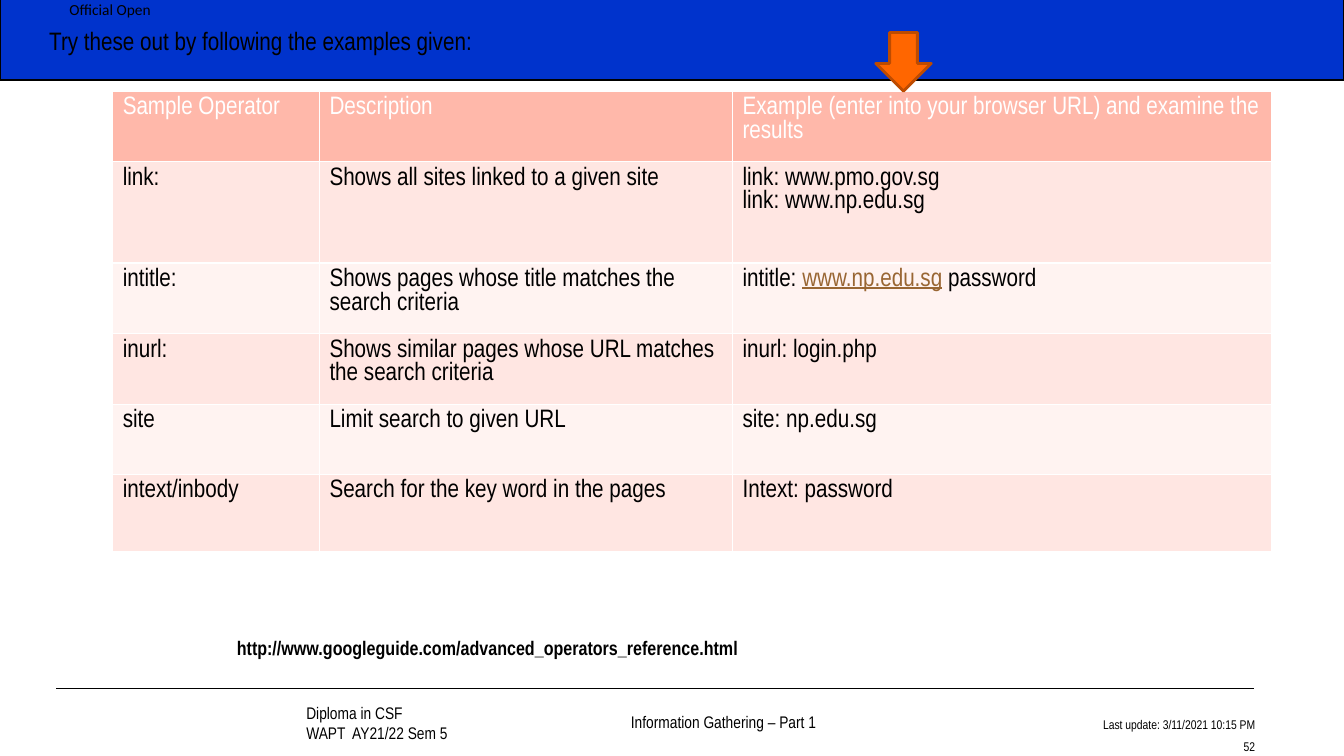
from pptx import Presentation
from pptx.dml.color import RGBColor
from pptx.enum.shapes import MSO_CONNECTOR, MSO_SHAPE
from pptx.enum.text import MSO_ANCHOR, PP_ALIGN
from pptx.oxml import parse_xml
from pptx.oxml.ns import nsdecls, qn
from pptx.util import Cm, Pt
from lxml import etree

RECT, DOWN_ARROW = MSO_SHAPE.RECTANGLE, MSO_SHAPE.DOWN_ARROW
STRAIGHT = MSO_CONNECTOR.STRAIGHT
TOP, BOTTOM = MSO_ANCHOR.TOP, MSO_ANCHOR.BOTTOM
RIGHT = PP_ALIGN.RIGHT

BLACK = RGBColor(0x00, 0x00, 0x00)
WHITE = RGBColor(0xFF, 0xFF, 0xFF)
BLUE = RGBColor(0x00, 0x33, 0xCC)
ORANGE = RGBColor(0xFF, 0x66, 0x00)
RUST = RGBColor(0xBD, 0x4B, 0x00)
BROWN = RGBColor(0x99, 0x66, 0x33)
SALMON = RGBColor(0xFF, 0xB8, 0xAA)
BANDS = RGBColor(0xFF, 0xF3, 0xF1), RGBColor(0xFF, 0xE6, 0xE2)

NARROW = "Arial Narrow"
COLUMN_WIDTHS = 5.21, 10.41, 13.58
ROW_HEIGHTS = 1.76, 2.55, 1.78, 1.78, 1.76, 1.96
LINK_MARK = "|"
OPERATORS = [
    ("Sample Operator", "Description",
     "Example (enter into your browser URL) and examine the results"),
    ("link:", "Shows all sites linked to a given site",
     "link: www.pmo.gov.sg\nlink: www.np.edu.sg"),
    ("intitle:", "Shows pages whose title matches the search criteria",
     "intitle: |www.np.edu.sg| password"),
    ("inurl:", "Shows similar pages whose URL matches the search criteria",
     "inurl: login.php"),
    ("site", "Limit search to given URL", "site: np.edu.sg"),
    ("intext/inbody", "Search for the key word in the pages", "Intext: password"),
]


def set_font(font, color=BLACK, **values):
    """Apply colour and other format values to a font."""
    font.color.rgb = color
    for name, value in values.items():
        setattr(font, name, value)


def add_text(s, box, lines, size, font=NARROW, bold=False, wrap=True,
             anchor=TOP, align=None, space=0, margins=(0.25, 0.13, 0.25, 0.13)):
    """Add a text box with one paragraph for each line."""
    tf = s.shapes.add_textbox(*map(Cm, box)).text_frame
    names = "margin_left", "margin_top", "margin_right", "margin_bottom"
    for name, value in zip(names, map(Cm, margins)):
        setattr(tf, name, value)
    tf.word_wrap = wrap
    tf.vertical_anchor = anchor
    for i, line in enumerate(lines):
        p = tf.add_paragraph() if i else tf.paragraphs[0]
        p.alignment = align
        if i and space:
            p.space_before = Pt(space)
        r = p.add_run()
        r.text = line
        set_font(r.font, name=font, size=Pt(size), bold=bold)


def add_box(s, kind, box, fill, line, width):
    """Add a filled and outlined preset shape."""
    sp = s.shapes.add_shape(kind, *map(Cm, box))
    sp.shadow.inherit = False
    sp.fill.solid()
    sp.fill.fore_color.rgb = fill
    sp.line.color.rgb = line
    sp.line.width = Pt(width)


def add_header(s, left, top, width, height):
    """Draw the banner with its classification and heading."""
    add_box(s, RECT, (left, top, width, height), BLUE, BLACK, 1.5)
    add_text(s, (left + 1.75, top + 0.1, 2.2, 0.46), ["Official Open"], 11,
             font="Calibri", wrap=False, margins=(0, 0, 0, 0))
    add_text(s, (left + 0.99, top + 0.61, 12.57, 1.02),
             ["Try these out by following the examples given:"], 18, wrap=False)


def fill_cell(cell, text, fill, color):
    """Write a table cell with white borders, showing marked parts as links."""
    tcPr = cell._tc.get_or_add_tcPr()
    for side in "LRTB":
        tcPr.append(parse_xml(
            f'<a:ln{side} {nsdecls("a")} w="12700"><a:solidFill>'
            f'<a:srgbClr val="{WHITE}"/></a:solidFill></a:ln{side}>'))
    cell.fill.solid()
    cell.fill.fore_color.rgb = fill
    tf = cell.text_frame
    for i, line in enumerate(text.split("\n")):
        p = tf.add_paragraph() if i else tf.paragraphs[0]
        for j, part in enumerate(line.split(LINK_MARK)):
            is_link = j % 2 == 1
            r = p.add_run()
            r.text = part
            set_font(r.font, BROWN if is_link else color, name=NARROW,
                     size=Pt(18), bold=False, underline=is_link)


def add_operators(s, left, top):
    """Draw the table of search operators and the arrow to its examples."""
    table = s.shapes.add_table(
        len(ROW_HEIGHTS), len(COLUMN_WIDTHS), Cm(left), Cm(top),
        Cm(sum(COLUMN_WIDTHS)), Cm(sum(ROW_HEIGHTS))).table
    for column, width in zip(table.columns, COLUMN_WIDTHS):
        column.width = Cm(width)
    for i, (row, height) in enumerate(zip(table.rows, ROW_HEIGHTS)):
        row.height = Cm(height)
        fill, color = (BANDS[i % 2], BLACK) if i else (SALMON, WHITE)
        for cell, text in zip(row.cells, OPERATORS[i]):
            fill_cell(cell, text, fill, color)
    add_box(s, DOWN_ARROW, (left + 19.23, top - 1.48, 1.4, 1.48), ORANGE, RUST, 2)


def add_footer(s, left, top, width):
    """Draw the rule and the three footer texts below it."""
    rule = s.shapes.add_connector(STRAIGHT, Cm(left), Cm(top),
                                  Cm(left + width), Cm(top))
    rule.line.color.rgb = BLACK
    rule.line.width = Pt(1)
    etree.SubElement(rule._element.spPr, qn("a:effectLst"))
    add_text(s, (left + 6.05, top + 0.43, 7, 1.07),
             ["Diploma in CSF", "WAPT  AY21/22 Sem 5"], 12, anchor=BOTTOM)
    add_text(s, (left + 14.23, top + 0.46, 5.23, 0.76),
             ["Information Gathering – Part 1"], 12, wrap=False)
    add_text(s, (left + width - 7.62, top + 0.58, 7.9, 1.07),
             ["Last update: 3/11/2021 10:15 PM", "52"], 9, anchor=BOTTOM,
             align=RIGHT, space=4.5, margins=(0.25, 0, 0.25, 0))


def main():
    """Build and save the slide."""
    prs = Presentation()
    prs.slide_width, prs.slide_height = Cm(33.87), Cm(19.05)
    s = prs.slides.add_slide(prs.slide_layouts[6])
    add_header(s, 0, -0.1, 33.87, 2.11)
    add_operators(s, 2.84, 2.3)
    add_text(s, (5.72, 15.9, 22.02, 0.86),
             ["http://www.googleguide.com/advanced_operators_reference.html"],
             14, bold=True)
    add_footer(s, 1.42, 17.35, 30.18)
    prs.save("out.pptx")


if __name__ == "__main__":
    main()
